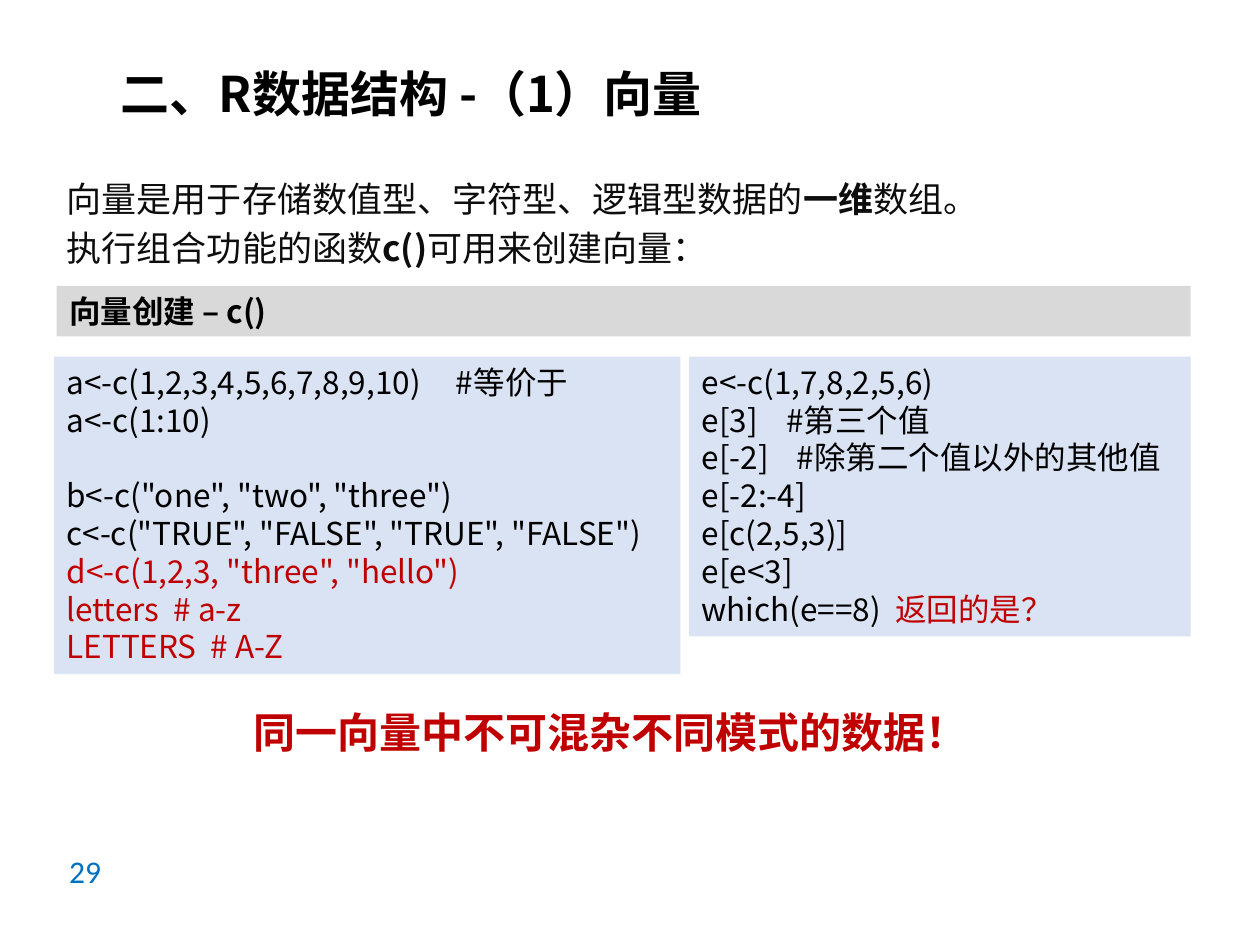
from lxml.etree import SubElement
from pptx import Presentation
from pptx.dml.color import RGBColor
from pptx.enum.shapes import MSO_SHAPE
from pptx.enum.text import MSO_ANCHOR, MSO_AUTO_SIZE, PP_ALIGN
from pptx.oxml.ns import qn
from pptx.util import Inches, Pt

THEME = {
    "font": "Noto Sans CJK SC", "number_font": "Calibri", "warning_font": "Arial",
    "black": "000000", "body": "0D0D0D", "red": "C00000", "blue": "0070C0",
    "code_fill": "DAE3F3", "band_fill": "D9D9D9",
    "title_size": 28, "warning_size": 24, "body_size": 20, "code_size": 18,
    "leading": 1.2,
}

# A line is a list of spans; a span is its text and the format it changes.
BOLD = {"bold": True}
RED = {"color": THEME["red"]}
TITLE = [[("二、R数据结构 -（1）向量", BOLD)]]
INTRO = [
    [("向量是用于存储数值型、字符型、逻辑型数据的", {}), ("一维", BOLD), ("数组。", {})],
    [("执行组合功能的函数", {}), ("c()", BOLD), ("可用来创建向量：", {})],
]
BAND = [[("向量创建 – c()", BOLD)]]
# Spacing inside code lines is part of the code.
CREATE_CODE = [
    [("a<-c(1,2,3,4,5,6,7,8,9,10)     #等价于", {})],
    [("a<-c(1:10)", {})],
    [('b<-c("one", "two", "three")', {})],
    [('c<-c("TRUE", "FALSE", "TRUE", "FALSE")', {})],
    [('d<-c(1,2,3, "three", "hello")', RED)],
    [("letters  # a-z", RED)],
    [("LETTERS  # A-Z", RED)],
]
INDEX_CODE = [
    [("e<-c(1,7,8,2,5,6)", {})],
    [("e[3]    #第三个值", {})],
    [("e[-2]    #除第二个值以外的其他值", {})],
    [("e[-2:-4]", {})],
    [("e[c(2,5,3)]", {})],
    [("e[e<3]", {})],
    [("which(e==8)  ", {}), ("返回的是？", RED)],
]
WARNING = [[("同一向量中不可混杂不同模式的数据！", BOLD)]]
PAGE_NUMBER = [[("29", {})]]

LEFT, RIGHT, GAP = 0.43, 9.45, 0.07
CODE_TOP, CREATE_WIDTH = 2.83, 4.97
INDEX_LEFT = LEFT + CREATE_WIDTH + GAP


def place(shape, left, top, width, height):
    shape.left, shape.top = Inches(left), Inches(top)
    shape.width, shape.height = Inches(width), Inches(height)
    return shape


def format_span(span, size, font, color, bold=False):
    span.font.size = Pt(size)
    span.font.name = font
    span.font.bold = bold
    span.font.color.rgb = RGBColor.from_string(color)
    properties = span.font._element
    properties.set("kern", "0")
    SubElement(properties, qn("a:ea"), typeface=THEME["font"])


def write(shape, lines, size=THEME["code_size"], font=THEME["font"],
          color=THEME["black"], anchor=MSO_ANCHOR.TOP, wrap=True, gaps=None):
    """Fill a shape; gaps maps a line number to its space before in points."""
    frame = shape.text_frame
    frame.auto_size = MSO_AUTO_SIZE.NONE
    frame.word_wrap = wrap
    frame.vertical_anchor = anchor
    for number, line in enumerate(lines):
        para = frame.paragraphs[0] if number == 0 else frame.add_paragraph()
        properties = para._p.get_or_add_pPr()
        properties.set("marL", "0")
        properties.set("indent", "0")
        SubElement(properties, qn("a:buNone"))
        para.alignment = PP_ALIGN.LEFT
        para.line_spacing = Pt(size * THEME["leading"])
        para.space_before = Pt((gaps or {}).get(number, 0))
        for text, changes in line:
            span = para.add_run()
            span.text = text
            format_span(span, **{"size": size, "font": font, "color": color, **changes})


def add_panel(page, lines, left, top, width, height, fill, **text_format):
    panel = page.shapes.add_shape(MSO_SHAPE.RECTANGLE, 0, 0, 0, 0)
    place(panel, left, top, width, height)
    panel.shadow.inherit = False
    panel.fill.solid()
    panel.fill.fore_color.rgb = RGBColor.from_string(fill)
    panel.line.fill.background()
    write(panel, lines, **text_format)


def add_label(page, lines, left, top, width, height, **text_format):
    box = page.shapes.add_textbox(0, 0, 0, 0)
    write(place(box, left, top, width, height), lines, **text_format)


def main():
    deck = Presentation()
    deck.slide_width, deck.slide_height = Inches(10), Inches(7.5)
    page = deck.slides.add_slide(deck.slide_layouts[1])

    title = place(page.shapes.title, 0.89, 0.46, 6.84, 0.55)
    title.text_frame.margin_left = title.text_frame.margin_right = Inches(0.07)
    title.text_frame.margin_top = title.text_frame.margin_bottom = Inches(0.04)
    write(title, TITLE, size=THEME["title_size"], anchor=MSO_ANCHOR.MIDDLE)

    intro = place(page.placeholders[1], LEFT, 1.36, 8.65, 1.16)
    write(intro, INTRO, size=THEME["body_size"], color=THEME["body"], gaps={1: 4})

    add_label(page, PAGE_NUMBER, 0.45, 6.71, 2.25, 0.4,
              font=THEME["number_font"], color=THEME["blue"])
    add_label(page, WARNING, 1.91, 5.56, 5.92, 0.5, size=THEME["warning_size"],
              font=THEME["warning_font"], color=THEME["red"], wrap=False)

    blank_line = THEME["code_size"] * THEME["leading"]
    add_panel(page, CREATE_CODE, LEFT, CODE_TOP, CREATE_WIDTH, 2.52,
              THEME["code_fill"], gaps={2: blank_line})
    add_panel(page, INDEX_CODE, INDEX_LEFT, CODE_TOP, RIGHT - INDEX_LEFT, 2.22,
              THEME["code_fill"])
    add_panel(page, BAND, 0.45, 2.27, 9, 0.4, THEME["band_fill"])

    deck.save("out.pptx")


if __name__ == "__main__":
    main()
